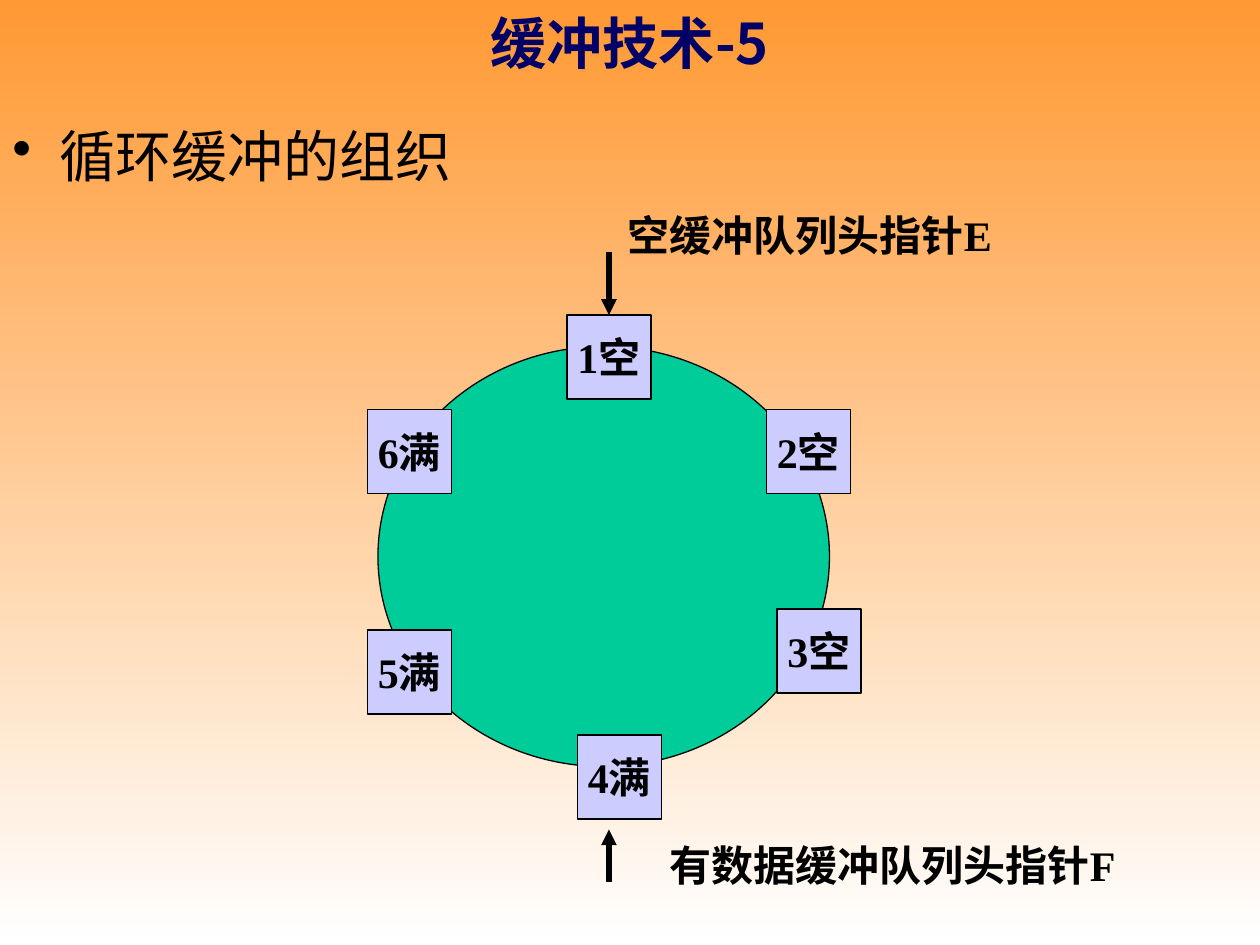
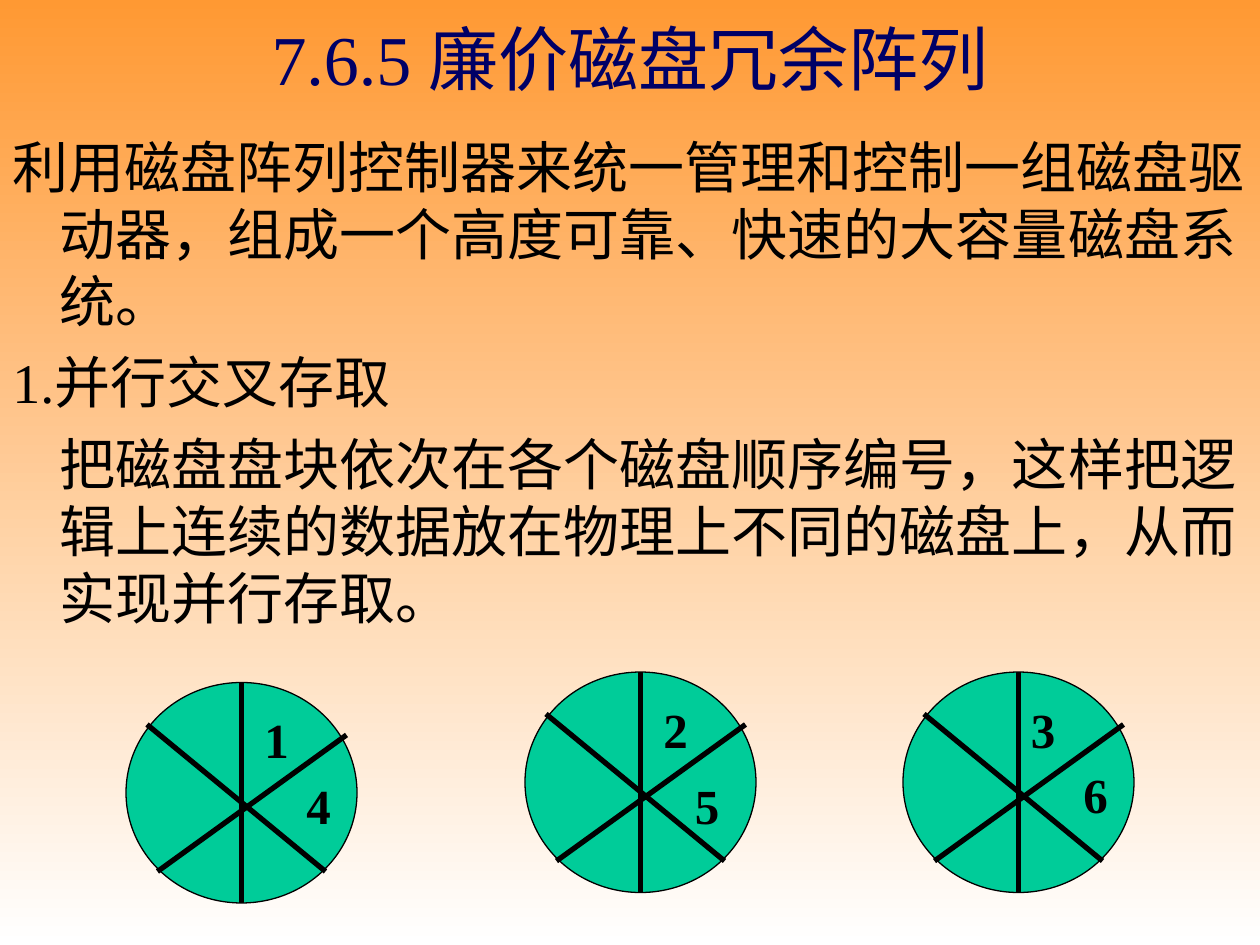
from lxml import etree
from pptx import Presentation
from pptx.dml.color import RGBColor
from pptx.enum.shapes import MSO_CONNECTOR, MSO_SHAPE
from pptx.enum.text import MSO_ANCHOR, MSO_AUTO_SIZE, PP_ALIGN
from pptx.oxml.ns import qn
from pptx.util import Emu, Pt

STRAIGHT = MSO_CONNECTOR.STRAIGHT
OVAL, RECTANGLE = MSO_SHAPE.OVAL, MSO_SHAPE.RECTANGLE
TOP, MIDDLE = MSO_ANCHOR.TOP, MSO_ANCHOR.MIDDLE
LEFT, CENTER = PP_ALIGN.LEFT, PP_ALIGN.CENTER
GROW = MSO_AUTO_SIZE.SHAPE_TO_FIT_TEXT

PX = 9525  # EMU per px, 96 px to the inch
SERIF, SANS = "Times New Roman", "Noto Sans CJK SC"
COLORS = {
    "sky": "FF9933",
    "ground": "FFFFFF",
    "title": "000066",
    "ink": "000000",
    "disk": "00CC99",
    "buffer": "CCCCFF",
}
COLORS = {name: RGBColor.from_string(value) for name, value in COLORS.items()}


def write(shape, lines, size, bold=False, color="ink", latin=SERIF,
          align=LEFT, anchor=TOP, wrap=True):
    """Fill a shape with paragraphs that share one style."""
    frame = shape.text_frame
    frame.word_wrap = wrap
    frame.vertical_anchor = anchor
    for index, line in enumerate(lines):
        paragraph = frame.add_paragraph() if index else frame.paragraphs[0]
        paragraph.text = line
        paragraph.alignment = align
        font = paragraph.font
        font.size, font.bold, font.name = Pt(size), bold, latin
        font.color.rgb = COLORS[color]
        defaults = paragraph._p.pPr.find(qn("a:defRPr"))
        etree.SubElement(defaults, qn("a:ea"), typeface=SANS)
    return frame


def draw_line(shapes, x1, y1, x2, y2, arrow=False):
    """Draw a thick black line, with an arrowhead at its end if asked."""
    line = shapes.add_connector(STRAIGHT, *(Emu(v * PX) for v in (x1, y1, x2, y2)))
    line.line.color.rgb = COLORS["ink"]
    line.line.width = Pt(3)
    if arrow:
        etree.SubElement(line.line._get_or_add_ln(), qn("a:tailEnd"), type="triangle")
    etree.SubElement(line._element.spPr, qn("a:effectLst"))
    return line


presentation = Presentation()
presentation.slide_width, presentation.slide_height = Emu(960 * PX), Emu(720 * PX)

# Both slides: background, title and body text
pages = [
    {"title": "缓冲技术-5", "title_height": 64, "title_size": 32, "title_font": SANS,
     "body_top": 88, "body_height": 72, "body": ["循环缓冲的组织"]},
    {"title": "7.6.5 廉价磁盘冗余阵列", "title_height": 88, "title_size": 40,
     "title_font": SERIF, "body_top": 96, "body_height": 392, "body": [
         "利用磁盘阵列控制器来统一管理和控制一组磁盘驱动器，组成一个高度可靠、快速的大容量磁盘系统。",
         "1.并行交叉存取",
         "把磁盘盘块依次在各个磁盘顺序编号，这样把逻辑上连续的数据放在物理上不同的磁盘上，从而实现并行存取。"]},
]
bodies = []
for page in pages:
    slide = presentation.slides.add_slide(presentation.slide_layouts[6])
    fill = slide.background.fill
    fill.gradient()
    fill.gradient_angle = 270
    for stop, name in zip(fill.gradient_stops, ("sky", "ground")):
        stop.color.rgb = COLORS[name]

    title = slide.shapes.add_textbox(72 * PX, 0, 816 * PX, page["title_height"] * PX)
    write(title, [page["title"]], page["title_size"], bold=page["title_font"] == SANS,
          color="title", latin=page["title_font"], align=CENTER, anchor=MIDDLE)

    body = slide.shapes.add_textbox(0, page["body_top"] * PX, 960 * PX,
                                    page["body_height"] * PX)
    frame = write(body, page["body"], 32)
    for paragraph in frame.paragraphs:
        paragraph.space_before = Pt(8)
        properties = paragraph._p.pPr
        properties.set("marL", str(36 * PX))
        properties.set("indent", str(-36 * PX))
    bodies.append(frame)

buffer_slide, raid_slide = presentation.slides

# Bullet on the first slide, plain indented last paragraph on the second
properties = bodies[0].paragraphs[0]._p.pPr
bullet = etree.SubElement(properties, qn("a:buChar"), char="•")
properties.find(qn("a:defRPr")).addprevious(bullet)
bodies[1].paragraphs[-1]._p.pPr.set("indent", "0")

# Buffer ring
ring = buffer_slide.shapes.add_shape(OVAL, 288 * PX, 264 * PX, 344 * PX, 320 * PX)
ring.fill.solid()
ring.fill.fore_color.rgb = COLORS["disk"]
ring.line.color.rgb = COLORS["ink"]
ring.line.width = Pt(0.75)
ring.shadow.inherit = False

buffers = []
for text, left, top in [("1空", 432, 240), ("2空", 584, 312), ("3空", 592, 464),
                        ("4满", 440, 560), ("5满", 280, 480), ("6满", 280, 312)]:
    buffer = buffer_slide.shapes.add_shape(RECTANGLE, left * PX, top * PX, 64 * PX, 64 * PX)
    buffer.fill.solid()
    buffer.fill.fore_color.rgb = COLORS["buffer"]
    buffer.line.color.rgb = COLORS["ink"]
    buffer.line.width = Pt(0.75)
    buffer.shadow.inherit = False
    write(buffer, [text], 24, bold=True, align=CENTER, anchor=MIDDLE, wrap=False)
    buffers.append(buffer)

# Queue head pointers
empty_pointer = draw_line(buffer_slide.shapes, 464, 192, 464, 240, arrow=True)
empty_pointer.end_connect(buffers[0], 0)
draw_line(buffer_slide.shapes, 464, 672, 464, 632, arrow=True)
for text, left, top, width in [("空缓冲队列头指针E", 469, 155, 304),
                               ("有数据缓冲队列头指针F", 501, 635, 366)]:
    label = buffer_slide.shapes.add_textbox(left * PX, top * PX, width * PX, 48 * PX)
    write(label, [text], 24, bold=True, wrap=False).auto_size = GROW

# Disks, each cut into six sectors
SPOKES = [(88, 0, 88, 168), (16, 32, 152, 144), (168, 40, 24, 144)]
for left, top in [(96, 520), (400, 512), (688, 512)]:
    group = raid_slide.shapes.add_group_shape()
    disk = group.shapes.add_shape(OVAL, left * PX, top * PX, 176 * PX, 168 * PX)
    disk.fill.solid()
    disk.fill.fore_color.rgb = COLORS["disk"]
    disk.line.color.rgb = COLORS["ink"]
    disk.line.width = Pt(0.75)
    disk.shadow.inherit = False
    for x1, y1, x2, y2 in SPOKES:
        draw_line(group.shapes, left + x1, top + y1, left + x2, top + y2)

# Block numbers, running across the disks
block_places = [(192, 536, 40), (496, 528, 48), (776, 528, 48),
                (224, 586, 40), (520, 586, 48), (816, 578, 48)]
for number, (left, top, width) in enumerate(block_places, start=1):
    block = raid_slide.shapes.add_textbox(left * PX, top * PX, width * PX, 55 * PX)
    write(block, [str(number)], 28, bold=True).auto_size = GROW

presentation.save("out.pptx")
